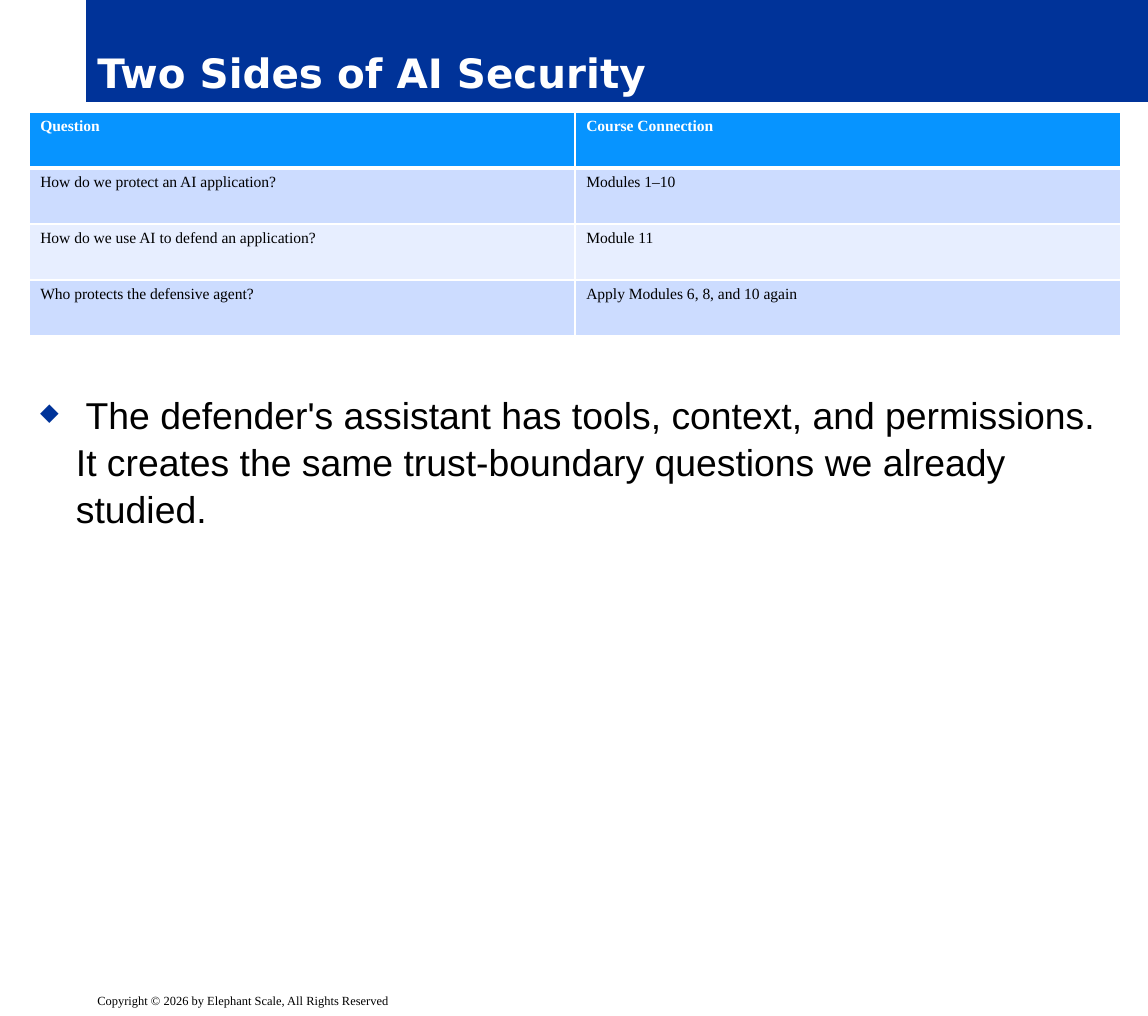
"""Build the slide on the two sides of AI security."""
import dataclasses

import lxml.etree
import pptx
import pptx.dml.color
import pptx.enum.shapes
import pptx.enum.text
import pptx.oxml
import pptx.oxml.ns
import pptx.util

Inches = pptx.util.Inches
Pt = pptx.util.Pt

COLORS = {
    "navy": "003399",
    "header": "0794FF",
    "band": "CCDCFF",
    "light_band": "E7EEFF",
    "white": "FFFFFF",
    "black": "000000",
}


@dataclasses.dataclass(frozen=True)
class TextStyle:
    font: str
    size: float
    color: str
    bold: bool = False


@dataclasses.dataclass(frozen=True)
class TextBlock:
    text: str
    left: float
    top: float
    width: float
    height: float
    style: TextStyle
    wrap: bool = True


@dataclasses.dataclass(frozen=True)
class TableRow:
    cells: tuple[str, str]
    fill: str
    style: TextStyle
    bottom_border: float = 1


CELL_STYLE = TextStyle("Times New Roman", 10, "black")
HEADER_STYLE = dataclasses.replace(CELL_STYLE, color="white", bold=True)

TITLE = TextBlock("Two Sides of AI Security", 0.77, 0, 9.48, 0.91,
                  TextStyle("DejaVu Sans", 26, "white", True))
TAKEAWAY = TextBlock(
    " The defender's assistant has tools, context, and permissions. "
    "It creates the same trust-boundary questions we already studied.",
    0.26, 3.43, 9.74, 5.13, TextStyle("Arial", 24, "black"))
COPYRIGHT = TextBlock("Copyright © 2026 by Elephant Scale, All Rights Reserved",
                      0.77, 8.82, 9.48, 0.25,
                      TextStyle("Times New Roman", 8, "black"), wrap=False)
ROWS = (
    TableRow(("Question", "Course Connection"), "header", HEADER_STYLE, 3),
    TableRow(("How do we protect an AI application?", "Modules 1–10"), "band", CELL_STYLE),
    TableRow(("How do we use AI to defend an application?", "Module 11"), "light_band", CELL_STYLE),
    TableRow(("Who protects the defensive agent?", "Apply Modules 6, 8, and 10 again"), "band", CELL_STYLE),
)


def rgb(name: str) -> pptx.dml.color.RGBColor:
    return pptx.dml.color.RGBColor.from_string(COLORS[name])


def write_text(text_frame, text: str, style: TextStyle) -> None:
    text_frame.text = text
    for run in text_frame.paragraphs[0].runs:
        run.font.name = style.font
        run.font.size = Pt(style.size)
        run.font.bold = style.bold
        run.font.color.rgb = rgb(style.color)


def place(block: TextBlock) -> tuple:
    return tuple(Inches(value) for value in (block.left, block.top, block.width, block.height))


def add_title(slide, block: TextBlock) -> None:
    shape = slide.shapes.add_shape(pptx.enum.shapes.MSO_SHAPE.RECTANGLE, *place(block))
    shape.shadow.inherit = False
    shape.fill.solid()
    shape.fill.fore_color.rgb = rgb("navy")
    shape.line.fill.background()
    write_text(shape.text_frame, block.text, block.style)
    shape.text_frame.vertical_anchor = pptx.enum.text.MSO_ANCHOR.BOTTOM
    shape.text_frame.paragraphs[0].alignment = pptx.enum.text.PP_ALIGN.LEFT


def add_text(slide, block: TextBlock):
    text_frame = slide.shapes.add_textbox(*place(block)).text_frame
    text_frame.word_wrap = block.wrap
    write_text(text_frame, block.text, block.style)
    return text_frame.paragraphs[0]


def add_diamond_bullet(paragraph) -> None:
    paragraph.line_spacing = 1.05
    properties = paragraph._p.get_or_add_pPr()
    properties.set("marL", str(Inches(0.32)))
    properties.set("indent", str(-Inches(0.32)))
    color = lxml.etree.SubElement(properties, pptx.oxml.ns.qn("a:buClr"))
    lxml.etree.SubElement(color, pptx.oxml.ns.qn("a:srgbClr"), val=COLORS["navy"])
    lxml.etree.SubElement(properties, pptx.oxml.ns.qn("a:buSzPct"), val="65000")
    lxml.etree.SubElement(properties, pptx.oxml.ns.qn("a:buChar"), char="◆")


def add_borders(cell, bottom_border: float, top_border: float) -> None:
    properties = cell._tc.get_or_add_tcPr()
    widths = {"lnL": 1, "lnR": 1, "lnT": top_border, "lnB": bottom_border}
    for side, width in widths.items():
        line = lxml.etree.SubElement(properties, pptx.oxml.ns.qn(f"a:{side}"), w=str(Pt(width)))
        fill = lxml.etree.SubElement(line, pptx.oxml.ns.qn("a:solidFill"))
        lxml.etree.SubElement(fill, pptx.oxml.ns.qn("a:srgbClr"), val=COLORS["white"])


def add_question_table(slide, rows: tuple[TableRow, ...]) -> None:
    table = slide.shapes.add_table(len(rows), 2, Inches(0.26), Inches(1),
                                   Inches(9.75), Inches(0.5 * len(rows))).table
    top_border = 1
    for row_index, row in enumerate(rows):
        for column_index, text in enumerate(row.cells):
            cell = table.cell(row_index, column_index)
            add_borders(cell, row.bottom_border, top_border)
            cell.fill.solid()
            cell.fill.fore_color.rgb = rgb(row.fill)
            write_text(cell.text_frame, text, row.style)
        top_border = row.bottom_border


def main() -> None:
    presentation = pptx.Presentation()
    presentation.slide_width = Inches(10.25)
    presentation.slide_height = Inches(9.07)
    slide = presentation.slides.add_slide(presentation.slide_layouts[6])
    add_title(slide, TITLE)
    add_diamond_bullet(add_text(slide, TAKEAWAY))
    add_text(slide, COPYRIGHT)
    add_question_table(slide, ROWS)
    presentation.save("out.pptx")


if __name__ == "__main__":
    main()
